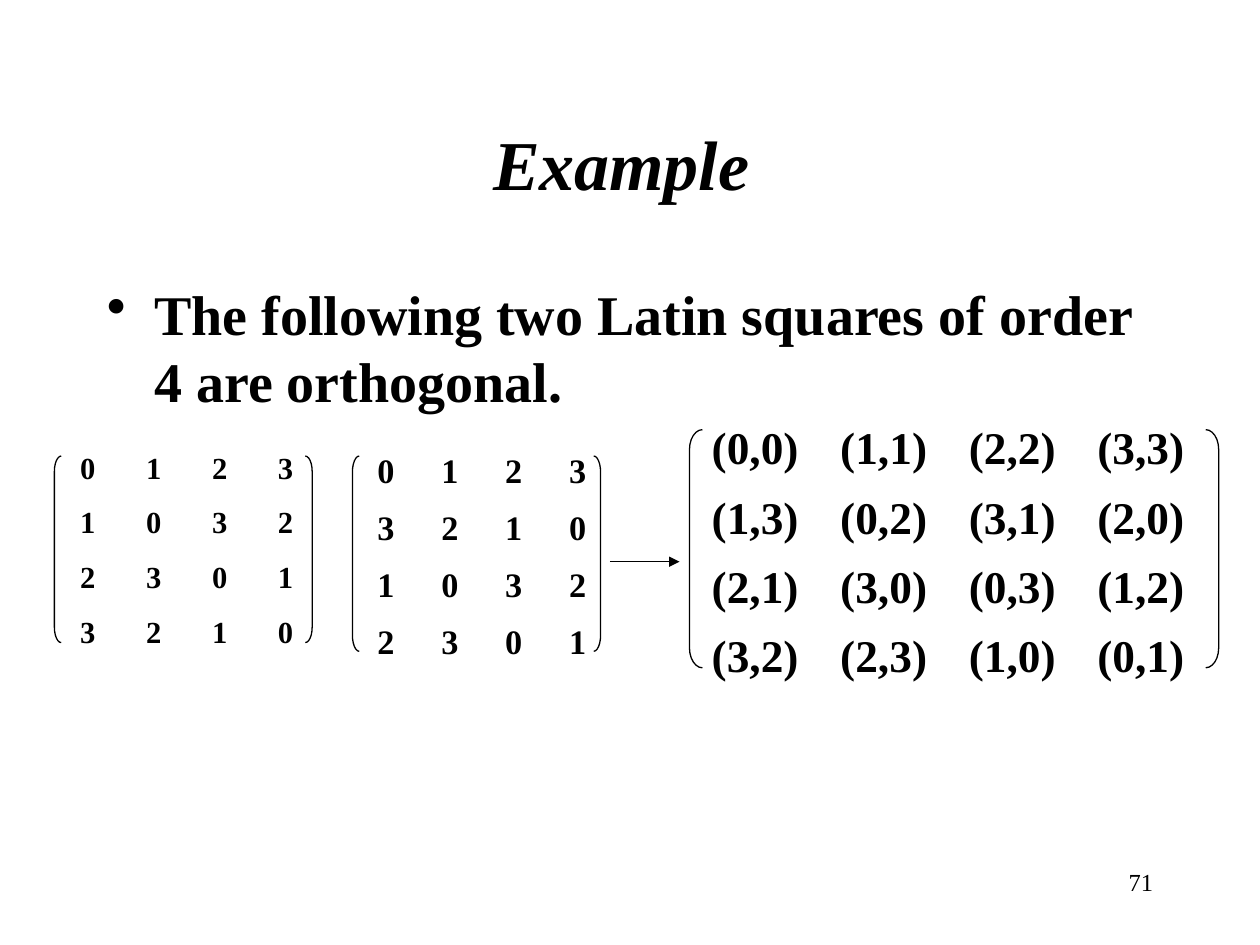
from lxml.etree import SubElement
from pptx import Presentation
from pptx.dml.color import RGBColor
from pptx.enum.shapes import MSO_CONNECTOR, MSO_SHAPE
from pptx.enum.text import MSO_ANCHOR, PP_ALIGN
from pptx.oxml.ns import qn
from pptx.util import Pt

BLACK = RGBColor(0x00, 0x00, 0x00)
FONT = "Times New Roman"

TITLE = "Example "
STATEMENT = "The following two Latin squares of order 4 are orthogonal."
PAGE_NUMBER = "71"
FIRST_SQUARE = ["0123", "1032", "2301", "3210"]
SECOND_SQUARE = ["0123", "3210", "1032", "2301"]
PAIRS = [
    [f"({a},{b})" for a, b in zip(first_row, second_row)]
    for first_row, second_row in zip(FIRST_SQUARE, SECOND_SQUARE)
]

MATRICES = [
    dict(rows=FIRST_SQUARE, size=17.5, origin=(38.7, 252.9), cell=(37.7, 31.2),
         brackets=(31.1, 174.5), bracket_box=(260.6, 3.9, 106.6)),
    dict(rows=SECOND_SQUARE, size=19.6, origin=(208.6, 252.9), cell=(36.5, 32.6),
         brackets=(201.4, 339.3), bracket_box=(260.6, 3.9, 111.6)),
    dict(rows=PAIRS, size=25.9, origin=(399.6, 236.2), cell=(73.45, 39.6),
         brackets=(394, 689), bracket_box=(245.5, 7.4, 136.1)),
]
ARROW_START, ARROW_END, ARROW_Y = 348.5, 388.3, 321


def add_text(slide, text, left, top, width, height, size, bold=True, italic=False,
             align=PP_ALIGN.LEFT, anchor=MSO_ANCHOR.TOP):
    box = slide.shapes.add_textbox(Pt(left), Pt(top), Pt(width), Pt(height))
    frame = box.text_frame
    frame.word_wrap = True
    frame.vertical_anchor = anchor
    paragraph = frame.paragraphs[0]
    paragraph.alignment = align
    run = paragraph.add_run()
    run.text = text
    run.font.name = FONT
    run.font.size = Pt(size)
    run.font.bold = bold
    run.font.italic = italic
    run.font.color.rgb = BLACK
    return paragraph


def add_bullet(paragraph, indent):
    properties = paragraph._p.get_or_add_pPr()
    properties.set("marL", str(Pt(indent)))
    properties.set("indent", str(-Pt(indent)))
    SubElement(properties, qn("a:buChar"), char="•")


def add_bracket(slide, preset, left, top, width, height):
    bracket = slide.shapes.add_shape(preset, Pt(left), Pt(top), Pt(width), Pt(height))
    bracket.adjustments[0] = height / 12 / width
    bracket.shadow.inherit = False
    bracket.fill.background()
    bracket.line.color.rgb = BLACK
    bracket.line.width = Pt(0.75)


def add_matrix(slide, rows, size, origin, cell, brackets, bracket_box):
    left, top = origin
    width, height = cell
    for row, entries in enumerate(rows):
        for column, entry in enumerate(entries):
            add_text(slide, entry, left + column * width, top + row * height,
                     width, height, size)
    presets = (MSO_SHAPE.LEFT_BRACKET, MSO_SHAPE.RIGHT_BRACKET)
    for preset, bracket_left in zip(presets, brackets):
        add_bracket(slide, preset, bracket_left, *bracket_box)


def add_arrow(slide, start, end, y):
    arrow = slide.shapes.add_connector(
        MSO_CONNECTOR.STRAIGHT, Pt(start), Pt(y), Pt(end), Pt(y))
    arrow.line.color.rgb = BLACK
    arrow.line.width = Pt(0.75)
    SubElement(arrow.line._get_or_add_ln(), qn("a:tailEnd"), type="triangle")
    SubElement(arrow._element.spPr, qn("a:effectLst"))


def main():
    presentation = Presentation()
    presentation.slide_width, presentation.slide_height = Pt(720), Pt(540)
    slide = presentation.slides.add_slide(presentation.slide_layouts[6])

    add_text(slide, PAGE_NUMBER, 516, 492, 150, 36, 14, bold=False,
             align=PP_ALIGN.RIGHT)
    add_text(slide, TITLE, 54, 48, 612, 90, 40, italic=True,
             align=PP_ALIGN.CENTER, anchor=MSO_ANCHOR.MIDDLE)
    add_bullet(add_text(slide, STATEMENT, 54, 156, 612, 324, 32), 27)
    for matrix in MATRICES:
        add_matrix(slide, **matrix)
    add_arrow(slide, ARROW_START, ARROW_END, ARROW_Y)

    presentation.save("out.pptx")


if __name__ == "__main__":
    main()
